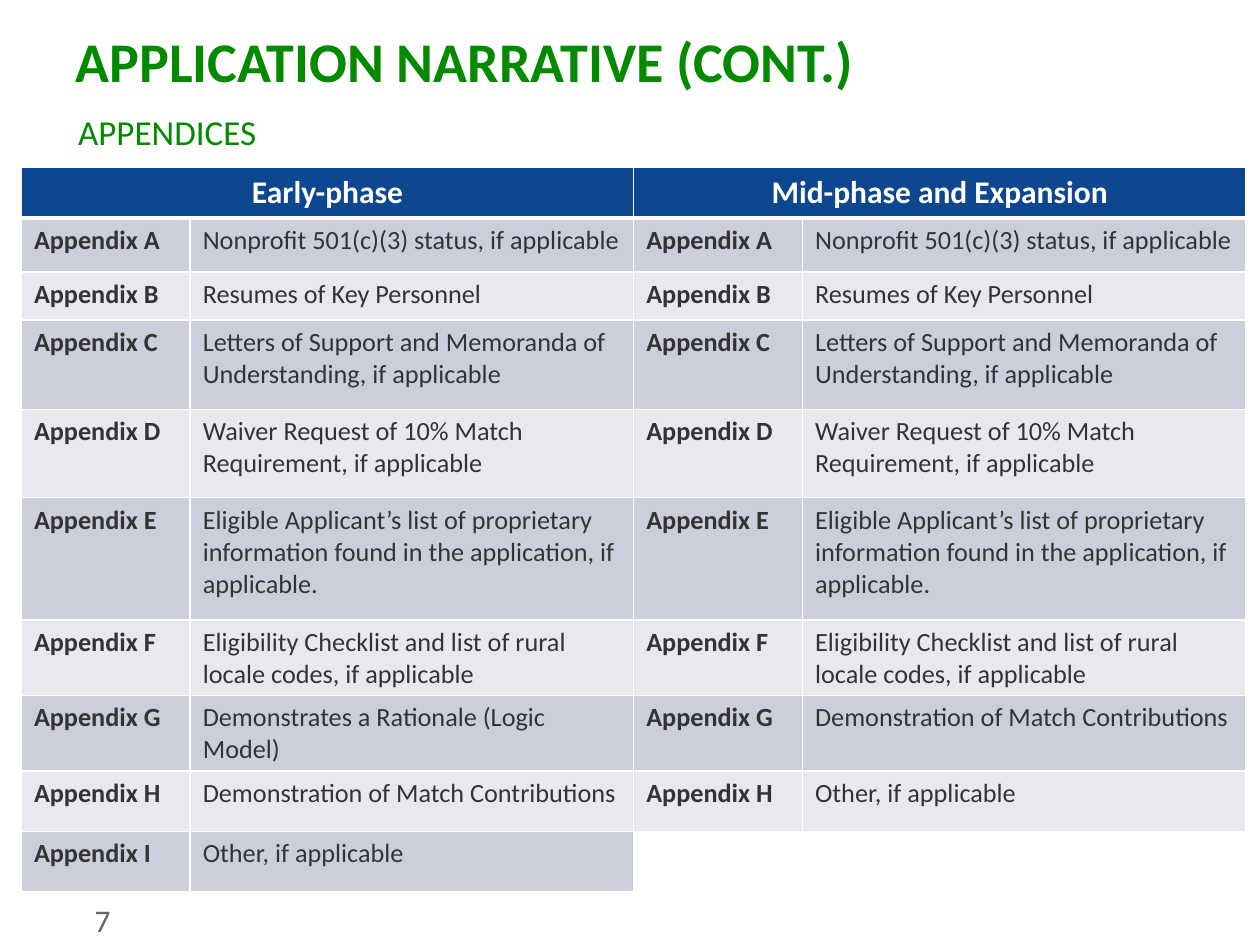
from lxml import etree
from pptx import Presentation
from pptx.dml.color import RGBColor
from pptx.enum import text
from pptx.oxml import ns
from pptx.util import Inches, Pt

GREEN, BLUE, WHITE = "038A00", "0C4790", "FFFFFF"
DARK, GREY = "333333", "666666"
BANDS = ("CCCFDB", "E7E9EE")
COLUMNS = (1.34, 3.52) * 2
ROWS = (0.39, 0.43, 0.38, 0.71, 0.7, 0.97, 0.54, 0.59, 0.48, 0.48)
SHARED = [
    "Nonprofit 501(c)(3) status, if applicable",
    "Resumes of Key Personnel",
    "Letters of Support and Memoranda of Understanding, if applicable",
    "Waiver Request of 10% Match Requirement, if applicable",
    "Eligible Applicant’s list of proprietary information found in the application, if applicable.",
    "Eligibility Checklist and list of rural locale codes, if applicable",
]
CLOSING = ["Demonstration of Match Contributions", "Other, if applicable"]
PHASES = {
    "Early-phase": SHARED + ["Demonstrates a Rationale (Logic Model)"] + CLOSING,
    "Mid-phase and Expansion": SHARED + CLOSING,
}


def color(value):
    return RGBColor.from_string(value)


def add_run(p, words, size, hue, bold=False):
    r = p.add_run()
    r.text = words
    r.font.name = "Calibri"
    r.font.size = Pt(size)
    r.font.bold = bold
    r.font.color.rgb = color(hue)


def place(sp, left, top, width, height):
    sp.left, sp.top = Inches(left), Inches(top)
    sp.width, sp.height = Inches(width), Inches(height)


def add_title(s):
    sp = s.shapes.title
    place(sp, 0.5, 0.17, 9, 0.62)
    tf = sp.text_frame
    tf.auto_size = text.MSO_AUTO_SIZE.NONE
    tf.vertical_anchor = text.MSO_ANCHOR.MIDDLE
    p = tf.paragraphs[0]
    p.alignment = text.PP_ALIGN.LEFT
    add_run(p, "APPLICATION NARRATIVE (CONT.)", 32, GREEN, True)


def add_subtitle(s):
    sp = s.placeholders[1]
    place(sp, 0.5, 0.83, 9, 0.55)
    tf = sp.text_frame
    tf.auto_size = text.MSO_AUTO_SIZE.NONE
    p = tf.paragraphs[0]
    pPr = p._p.get_or_add_pPr()
    pPr.set("marL", str(Inches(0.4)))
    pPr.set("indent", str(Inches(-0.38)))
    etree.SubElement(pPr, ns.qn("a:buNone"))
    add_run(p, "APPENDICES", 20, GREEN)


def add_page_number(s):
    sp = s.shapes.add_textbox(Inches(0.75), Inches(7.1), Inches(0.58), Inches(0.4))
    tf = sp.text_frame
    tf.word_wrap = True
    tf.margin_left = tf.margin_right = 0
    add_run(tf.paragraphs[0], "7", 18, GREY)


def add_borders(cell, bottom):
    tcPr = cell._tc.get_or_add_tcPr()
    for side, width in (("L", 1), ("R", 1), ("T", 1), ("B", bottom)):
        ln = etree.SubElement(tcPr, ns.qn(f"a:ln{side}"), w=str(Pt(width)))
        fill = etree.SubElement(ln, ns.qn("a:solidFill"))
        etree.SubElement(fill, ns.qn("a:srgbClr"), val=WHITE)


def style_cell(cell, fill=None, bottom=1):
    add_borders(cell, bottom)
    if fill:
        cell.fill.solid()
        cell.fill.fore_color.rgb = color(fill)
    else:
        cell.fill.background()


def fill_phase(table, col, heading, entries):
    head, neighbour = table.cell(0, col), table.cell(0, col + 1)
    head.merge(neighbour)
    for cell in (head, neighbour):
        style_cell(cell, BLUE, 3)
    p = head.text_frame.paragraphs[0]
    p.alignment = text.PP_ALIGN.CENTER
    add_run(p, heading, 18, WHITE, True)
    for row in range(1, len(ROWS)):
        pair = table.cell(row, col), table.cell(row, col + 1)
        used = row <= len(entries)
        for cell in pair:
            style_cell(cell, BANDS[(row - 1) % 2] if used else None)
        if used:
            letter = "ABCDEFGHI"[row - 1]
            add_run(pair[0].text_frame.paragraphs[0], f"Appendix {letter}", 15, DARK, True)
            add_run(pair[1].text_frame.paragraphs[0], entries[row - 1], 15, DARK)


def add_appendix_table(s):
    frame = s.shapes.add_table(len(ROWS), len(COLUMNS), Inches(0.17), Inches(1.33),
                               Inches(sum(COLUMNS)), Inches(sum(ROWS)))
    table = frame.table
    table.first_row = table.horz_banding = False
    for column, width in zip(table.columns, COLUMNS):
        column.width = Inches(width)
    for row, height in zip(table.rows, ROWS):
        row.height = Inches(height)
    for i, (heading, entries) in enumerate(PHASES.items()):
        fill_phase(table, 2 * i, heading, entries)


def main():
    prs = Presentation()
    prs.slide_width, prs.slide_height = Inches(10), Inches(7.5)
    s = prs.slides.add_slide(prs.slide_layouts[1])
    add_title(s)
    add_subtitle(s)
    add_page_number(s)
    add_appendix_table(s)
    prs.save("out.pptx")


if __name__ == "__main__":
    main()
